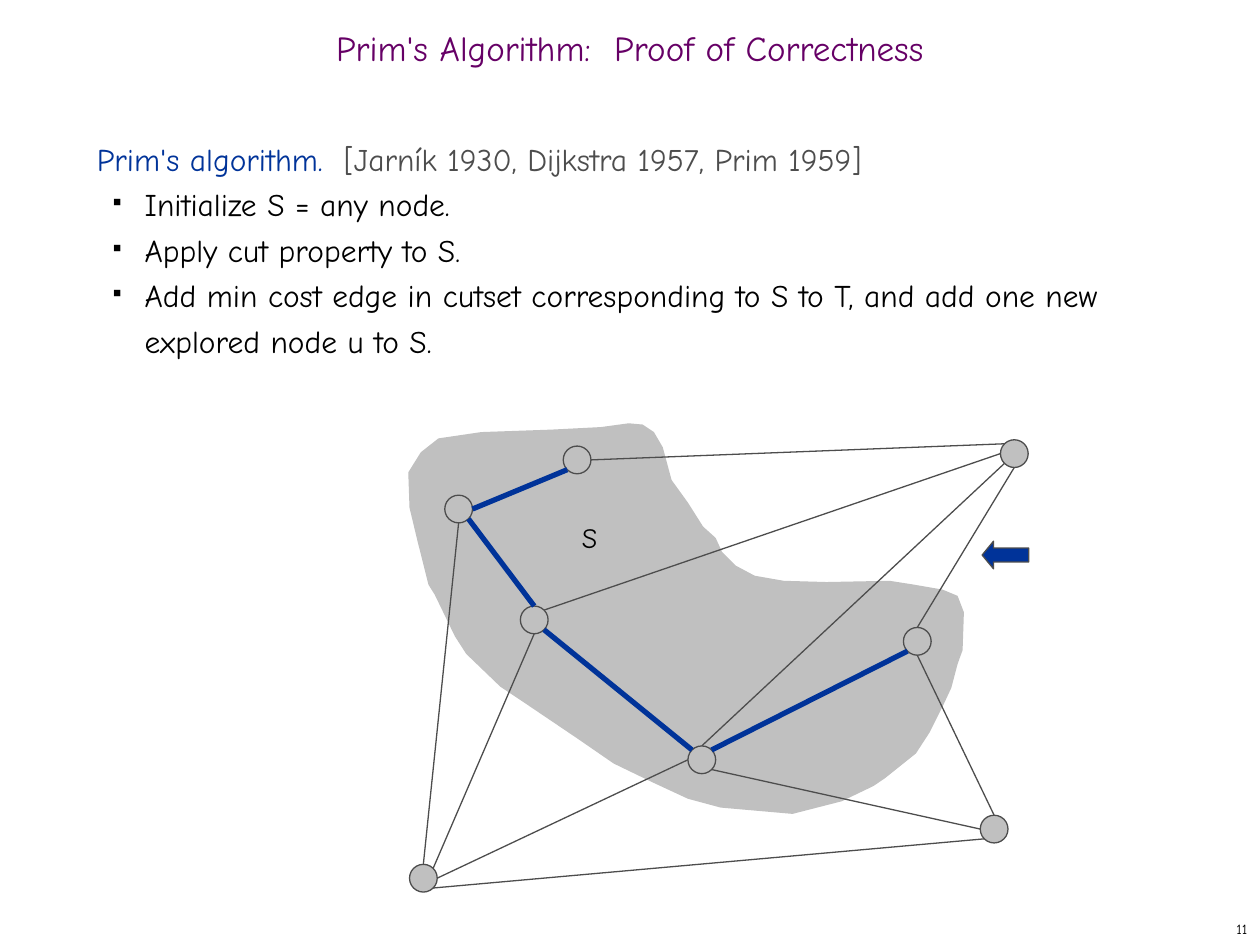
from math import cos, pi, sin

from lxml.etree import SubElement
from pptx import Presentation
from pptx.dml.color import RGBColor
from pptx.enum.shapes import MSO_CONNECTOR as Connector, MSO_SHAPE as Shape
from pptx.enum.text import MSO_ANCHOR as Anchor, MSO_AUTO_SIZE as AutoSize, PP_ALIGN as Align
from pptx.oxml.ns import qn
from pptx.util import Inches, Pt

FONT = "Comic Neue"
BLUE, GRAY, DARK, BLACK, PURPLE = "003399", "C0C0C0", "4D4D4D", "000000", "660066"

BODY = [
    [("Prim's algorithm.  ", BLUE), ("[Jarník 1930, Dijkstra 1957, Prim 1959]", DARK)],
    [("Initialize S = any node.", BLACK)],
    [("Apply cut property to S.", BLACK)],
    [("Add min cost edge in cutset corresponding to S to T, "
      "and add one new explored node u to S.", BLACK)],
]

REGION = [
    (0.24, 0.26), (0.58, 0.21), (1.14, 0.19), (1.53, 0.17), (1.75, 0.14), (1.86, 0.15),
    (1.95, 0.21), (2.02, 0.33), (2.09, 0.59), (2.22, 0.77), (2.34, 0.96), (2.44, 1.05),
    (2.49, 1.16), (2.6, 1.27), (2.75, 1.35), (2.98, 1.39), (3.32, 1.4), (3.82, 1.39),
    (4.01, 1.42), (4.24, 1.46), (4.36, 1.51), (4.41, 1.64), (4.4, 1.94), (4.36, 2.05),
    (4.31, 2.24), (4.24, 2.39), (4.14, 2.59), (4.03, 2.76), (3.78, 2.96), (3.69, 3.02),
    (3.44, 3.14), (3.05, 3.24), (2.48, 3.19), (2.22, 3.12), (1.94, 2.99), (1.63, 2.84),
    (1.34, 2.64), (0.94, 2.37), (0.73, 2.23), (0.46, 1.97), (0.37, 1.83), (0.21, 1.5),
    (0.16, 1.42), (0.07, 1.06), (0.01, 0.81), (0, 0.53), (0.1, 0.37),
]

RADIUS = 0.11
NODES = {
    "west": (0.4, 0.82), "northeast": (4.81, 0.38), "southeast": (4.65, 3.36),
    "north": (1.34, 0.43), "center": (1, 1.7), "southwest": (0.12, 3.75),
    "east": (4.04, 1.87), "south": (2.33, 2.81),
}
SIDES = ["right", "lower right", "bottom", "lower left",
         "left", "upper left", "top", "upper right"]
TREE_EDGES = [
    ("west", "right", "north", "lower left"),
    ("west", "lower right", "center", "top"),
    ("center", "lower right", "south", "upper left"),
    ("south", "upper right", "east", "lower left"),
]
OTHER_EDGES = [
    ("west", "bottom", "southwest", "top"),
    ("center", "upper right", "northeast", "left"),
    ("east", "top", "northeast", "bottom"),
    ("south", "lower right", "southeast", "left"),
    ("east", "bottom", "southeast", "top"),
    ("northeast", "lower left", "south", "top"),
    ("center", "bottom", "southwest", "upper right"),
    ("southwest", "right", "south", "left"),
    ("north", "right", "northeast", "upper left"),
    ("southwest", "lower right", "southeast", "lower left"),
]


def color(hex_value):
    return RGBColor.from_string(hex_value)


def paint(shape, fill, line=None):
    shape.shadow.inherit = False
    shape.fill.solid()
    shape.fill.fore_color.rgb = color(fill)
    if line:
        shape.line.color.rgb = color(line)
        shape.line.width = Pt(0.75)
    else:
        shape.line.fill.background()


def add_run(paragraph, text, size, hex_value):
    run = paragraph.add_run()
    run.text = text
    run.font.name = FONT
    run.font.size = Pt(size)
    run.font.color.rgb = color(hex_value)


def add_frame(slide, box, wrap=True, anchor=Anchor.TOP):
    text_frame = slide.shapes.add_textbox(*map(Inches, box)).text_frame
    text_frame.word_wrap = wrap
    text_frame.vertical_anchor = anchor
    return text_frame


def add_label(slide, box, text, size, hex_value, align=Align.LEFT,
              wrap=False, anchor=Anchor.MIDDLE, spacing=None):
    text_frame = add_frame(slide, box, wrap, anchor)
    paragraph = text_frame.paragraphs[0]
    paragraph.alignment = align
    paragraph.line_spacing = spacing
    add_run(paragraph, text, size, hex_value)
    return text_frame


def add_bullet(paragraph):
    paragraph.level = 1
    properties = paragraph._p.get_or_add_pPr()
    properties.set("marL", str(Inches(0.38)))
    properties.set("indent", str(Inches(-0.25)))
    bullet_color = SubElement(properties, qn("a:buClr"))
    SubElement(bullet_color, qn("a:srgbClr"), val=BLACK)
    SubElement(properties, qn("a:buSzPct"), val="35000")
    SubElement(properties, qn("a:buChar"), char="■")


def add_body(slide, box):
    text_frame = add_frame(slide, box)
    for index, runs in enumerate(BODY):
        paragraph = text_frame.add_paragraph() if index else text_frame.paragraphs[0]
        paragraph.line_spacing = Pt(26)
        if index:
            add_bullet(paragraph)
        for text, hex_value in runs:
            add_run(paragraph, text, 18, hex_value)


def add_region(slide, left, top):
    points = [(Inches(left + x), Inches(top + y)) for x, y in REGION]
    builder = slide.shapes.build_freeform(*points[0])
    builder.add_line_segments(points[1:], close=True)
    paint(builder.convert_to_shape(), GRAY)


def rim_point(left, top, node, side):
    x, y = NODES[node]
    angle = SIDES.index(side) * pi / 4
    return Inches(left + x + RADIUS * cos(angle)), Inches(top + y + RADIUS * sin(angle))


def add_edge(slide, left, top, edge, hex_value, width):
    start, start_side, end, end_side = edge
    connector = slide.shapes.add_connector(
        Connector.STRAIGHT,
        *rim_point(left, top, start, start_side),
        *rim_point(left, top, end, end_side))
    connector.line.color.rgb = color(hex_value)
    connector.line.width = Pt(width)
    SubElement(connector._element.spPr, qn("a:effectLst"))


def add_graph(slide, left, top):
    for x, y in NODES.values():
        box = (left + x - RADIUS, top + y - RADIUS, 2 * RADIUS, 2 * RADIUS)
        paint(slide.shapes.add_shape(Shape.OVAL, *map(Inches, box)), GRAY, DARK)
    for edge in OTHER_EDGES:
        add_edge(slide, left, top, edge, DARK, 0.75)
    for edge in TREE_EDGES:
        add_edge(slide, left, top, edge, BLUE, 3)
    box = (left + 4.63, top + 1, 0.22, 0.37)
    arrow = slide.shapes.add_shape(Shape.UP_ARROW, *map(Inches, box))
    arrow.rotation = 270
    arrow.adjustments[0] = 0.5
    arrow.adjustments[1] = 0.415
    paint(arrow, BLUE, DARK)
    label = add_label(slide, (left + 1.28, top + 0.86, 0.32, 0.37), "S", 16, BLACK,
                      anchor=Anchor.TOP)
    label.auto_size = AutoSize.SHAPE_TO_FIT_TEXT


def main():
    presentation = Presentation()
    presentation.slide_width = Inches(10)
    presentation.slide_height = Inches(7.5)
    slide = presentation.slides.add_slide(presentation.slide_layouts[6])
    add_label(slide, (7.92, 7.25, 2.08, 0.25), "11", 8, BLACK, Align.RIGHT)
    add_region(slide, 3.24, 3.22)
    add_label(slide, (0, 0.17, 10, 0.5), "Prim's Algorithm:  Proof of Correctness",
              20, PURPLE, Align.CENTER, wrap=True, spacing=0.7)
    add_body(slide, (0.67, 1, 8.58, 5.92))
    add_graph(slide, 3.24, 3.22)
    presentation.save("out.pptx")


if __name__ == "__main__":
    main()
